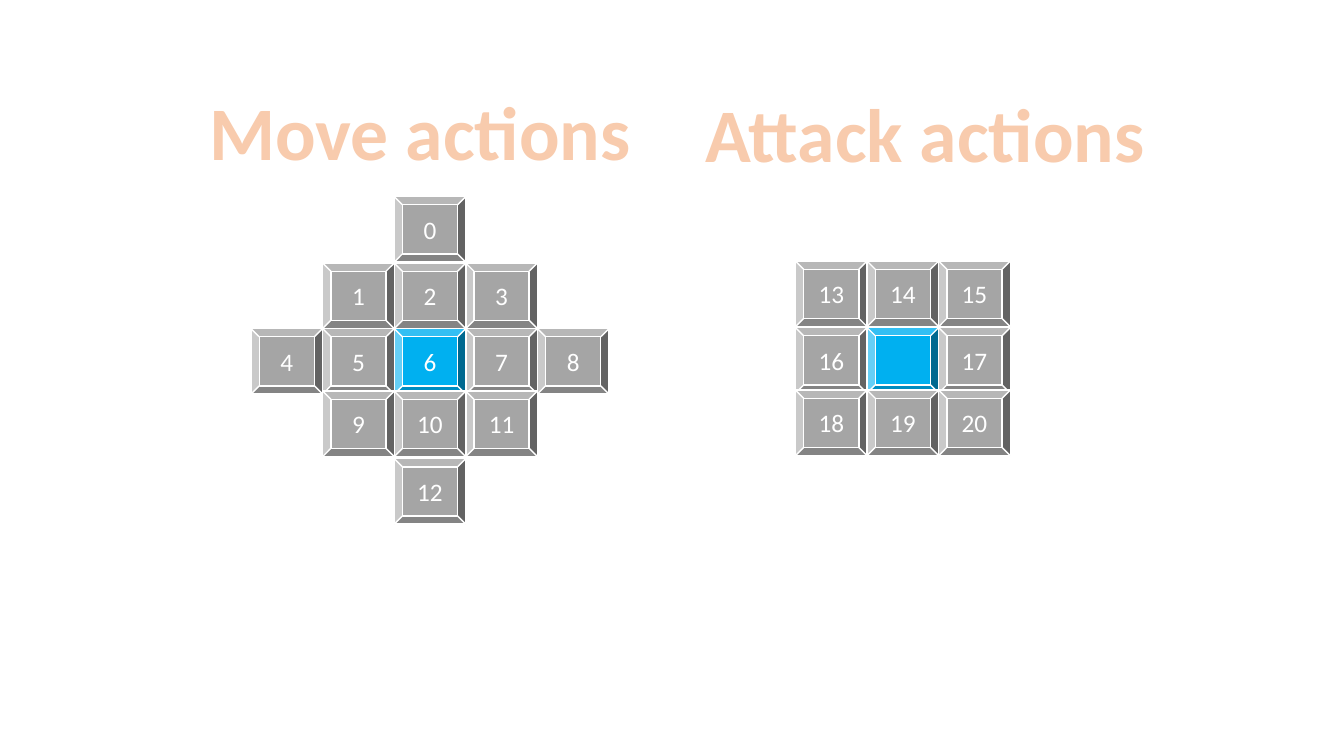
from lxml import etree
from pptx import Presentation
from pptx import util as u
from pptx.dml.color import RGBColor
from pptx.enum import shapes, text
from pptx.oxml.ns import qn

COLORS = {
    "tile": "A5A5A5",
    "center": "00B0F0",
    "white": "FFFFFF",
    "heading": "F8CBAD",
    "outline": "ED7D31",
}
FONT = "Calibri"
TILE_WIDTH, TILE_HEIGHT = 0.71, 0.65

# Each row: top, column offset of its first tile from the center, labels
MOVE_ROWS = [
    (1.95, 0, ["0"]),
    (2.61, -1, ["1", "2", "3"]),
    (3.26, -2, ["4", "5", "6", "7", "8"]),
    (3.88, -1, ["9", "10", "11"]),
    (4.55, 0, ["12"]),
]
ATTACK_ROWS = [
    (2.59, -1, ["13", "14", "15"]),
    (3.25, -1, ["16", "", "17"]),
    (3.87, -1, ["18", "19", "20"]),
]
CENTER_TILES = ("6", "")


def color(name):
    return RGBColor.from_string(COLORS[name])


def write_text(shape, content, size=18, fill="white", bold=False):
    """Write one centered line and return its run."""
    frame = shape.text_frame
    frame.vertical_anchor = text.MSO_ANCHOR.MIDDLE
    para = frame.paragraphs[0]
    para.alignment = text.PP_ALIGN.CENTER
    span = para.add_run()
    span.text = content
    span.font.name = FONT
    span.font.size = u.Pt(size)
    span.font.bold = bold
    span.font.color.rgb = color(fill)
    return span


def outline_text(span, line, width):
    ln = etree.Element(qn("a:ln"), w=str(u.Pt(width)))
    fill = etree.SubElement(ln, qn("a:solidFill"))
    etree.SubElement(fill, qn("a:srgbClr"), val=COLORS[line])
    span.font._element.insert(0, ln)


def add_heading(page, content, left, top, width):
    box = page.shapes.add_textbox(
        u.Inches(left), u.Inches(top), u.Inches(width), u.Inches(1.01))
    box.text_frame.word_wrap = False
    box.text_frame.auto_size = text.MSO_AUTO_SIZE.SHAPE_TO_FIT_TEXT
    span = write_text(box, content, size=54, fill="heading", bold=True)
    outline_text(span, "outline", 1.75)


def add_tile(page, label, left, top):
    tile = page.shapes.add_shape(
        shapes.MSO_SHAPE.BEVEL, u.Inches(left), u.Inches(top),
        u.Inches(TILE_WIDTH), u.Inches(TILE_HEIGHT))
    tile.shadow.inherit = False
    tile.fill.solid()
    tile.fill.fore_color.rgb = color("center" if label in CENTER_TILES else "tile")
    tile.line.color.rgb = color("white")
    tile.line.width = u.Pt(1)
    if label:
        write_text(tile, label)


def add_board(page, center_left, rows):
    for top, first_column, labels in rows:
        for column, label in enumerate(labels, first_column):
            add_tile(page, label, center_left + column * TILE_WIDTH, top)


def main():
    deck = Presentation()
    deck.slide_width, deck.slide_height = u.Inches(13.33), u.Inches(7.5)
    page = deck.slides.add_slide(deck.slide_layouts[6])

    # Boards of numbered actions
    add_board(page, 3.91, MOVE_ROWS)
    add_board(page, 8.6, ATTACK_ROWS)

    # Headings
    add_heading(page, "Move actions", 1.95, 0.79, 4.43)
    add_heading(page, "Attack actions", 6.86, 0.81, 4.63)

    deck.save("out.pptx")


if __name__ == "__main__":
    main()
